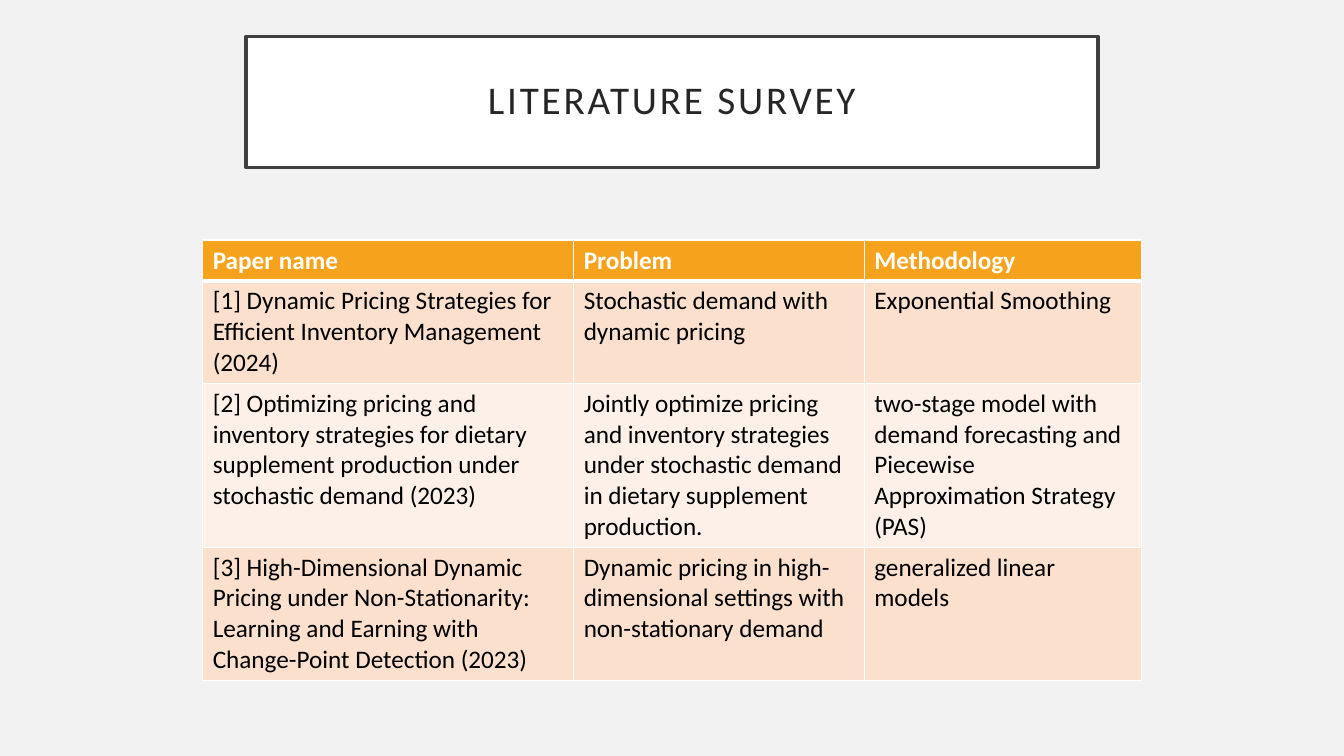
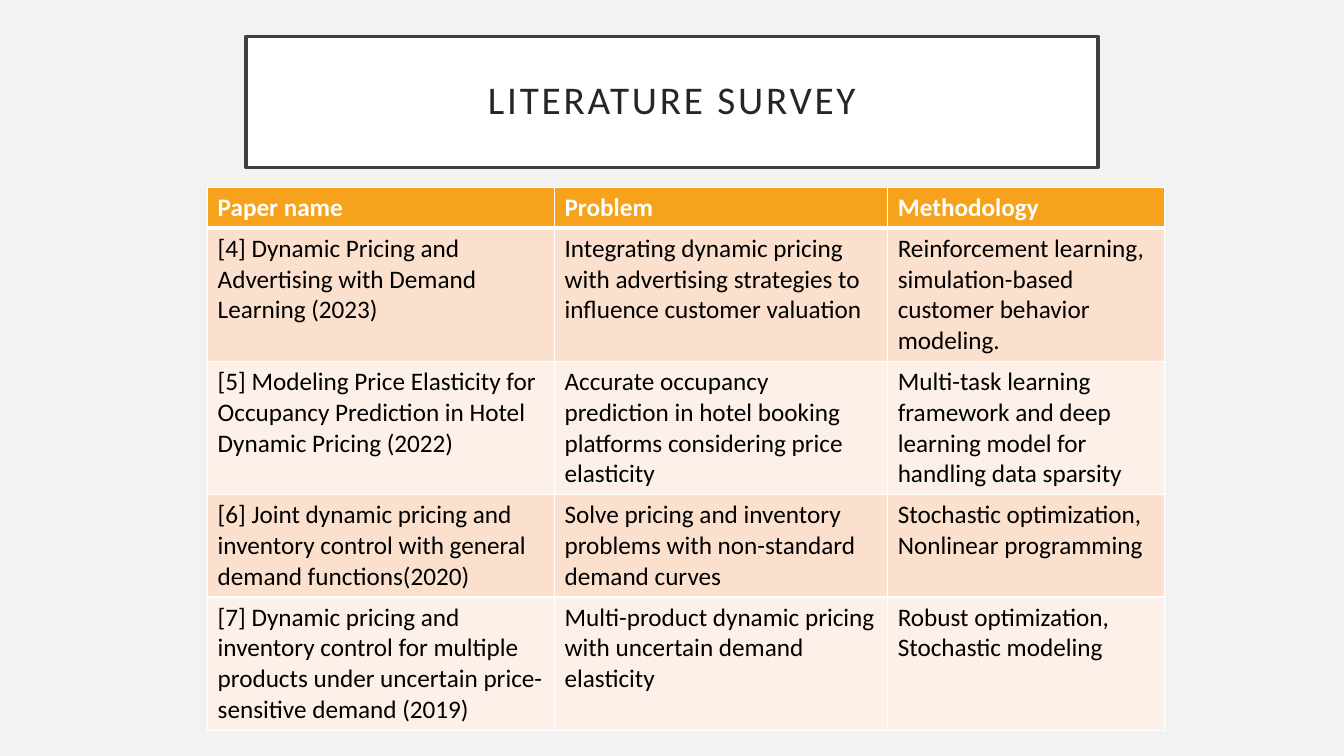
from lxml.etree import SubElement
from pptx import Presentation
from pptx.dml.color import RGBColor
from pptx.enum.shapes import MSO_SHAPE as Preset
from pptx.enum.text import MSO_ANCHOR as Anchor, PP_ALIGN as Align
from pptx.oxml.ns import qn
from pptx.util import Pt


def paint(color_format, hex_color):
    color_format.rgb = RGBColor.from_string(hex_color)


class SurveyDeck:
    """Holds the shared style and the current slide of the literature survey."""

    FONT = "Calibri"
    BACKGROUND, WHITE, BLACK = "F2F2F2", "FFFFFF", "000000"
    FRAME, HEADING = "404040", "262626"
    HEADER, BANDS = "F6A21D", ("FBE0CD", "FDF0E8")
    COLUMN_NAMES = ("Paper name", "Problem", "Methodology")
    ROW_HEIGHT = 29.2

    def __init__(self):
        self.deck = Presentation()
        self.deck.slide_width, self.deck.slide_height = Pt(960), Pt(540)
        self.slide = None

    def fill(self, target, color):
        target.fill.solid()
        paint(target.fill.fore_color, color)

    def style(self, paragraph, size, color, bold=False):
        font = paragraph.font
        font.name, font.size, font.bold = self.FONT, Pt(size), bold
        paint(font.color, color)

    def add_slide(self, heading):
        self.slide = self.deck.slides.add_slide(self.deck.slide_layouts[6])
        self.fill(self.slide.background, self.BACKGROUND)
        self.add_title(heading)

    def add_title(self, heading):
        banner = self.slide.shapes.add_shape(
            Preset.RECTANGLE, Pt(175.7), Pt(26), Pt(608.6), Pt(93.6))
        banner.shadow.inherit = False
        self.fill(banner, self.WHITE)
        paint(banner.line.color, self.FRAME)
        banner.line.width = Pt(2.5)
        frame = banner.text_frame
        frame.word_wrap = True
        frame.vertical_anchor = Anchor.MIDDLE
        frame.margin_left = frame.margin_right = Pt(14.4)
        frame.margin_top = frame.margin_bottom = Pt(14.4)
        title = frame.paragraphs[0]
        title.text = heading
        title.alignment = Align.CENTER
        title.line_spacing = 0.9
        self.style(title, 28, self.HEADING)
        title.runs[0].font._element.set("spc", "200")

    def add_borders(self, cell, top, bottom):
        properties = cell._tc.get_or_add_tcPr()
        for side, width in (("L", 1), ("R", 1), ("T", top), ("B", bottom)):
            edge = SubElement(properties, qn(f"a:ln{side}"), w=str(Pt(width)))
            solid = SubElement(edge, qn("a:solidFill"))
            SubElement(solid, qn("a:srgbClr"), val=self.WHITE)

    def add_survey(self, left, top, widths, papers):
        rows = [self.COLUMN_NAMES, *papers]
        survey = self.slide.shapes.add_table(
            len(rows), len(widths), Pt(left), Pt(top),
            Pt(sum(widths)), Pt(self.ROW_HEIGHT * len(rows))).table
        for column, width in zip(survey.columns, widths):
            column.width = Pt(width)
        for r, texts in enumerate(rows):
            survey.rows[r].height = Pt(self.ROW_HEIGHT)
            is_header = r == 0
            for c, text in enumerate(texts):
                cell = survey.cell(r, c)
                self.add_borders(cell, 3 if r == 1 else 1, 3 if is_header else 1)
                self.fill(cell, self.HEADER if is_header else self.BANDS[(r - 1) % 2])
                cell.text = text
                self.style(cell.text_frame.paragraphs[0], 18,
                           self.WHITE if is_header else self.BLACK, is_header)

    def save(self):
        self.deck.save("out.pptx")


RECENT_PAPERS = [
    ("[1] Dynamic Pricing Strategies for Efficient Inventory Management (2024)",
     "Stochastic demand with dynamic pricing",
     "Exponential Smoothing"),
    ("[2] Optimizing pricing and inventory strategies for dietary supplement "
     "production under stochastic demand (2023)",
     "Jointly optimize pricing and inventory strategies under stochastic demand "
     "in dietary supplement production.",
     "two-stage model with demand forecasting and Piecewise Approximation Strategy (PAS)"),
    ("[3] High-Dimensional Dynamic Pricing under Non-Stationarity: "
     "Learning and Earning with Change-Point Detection (2023)",
     "Dynamic pricing in high-dimensional settings with non-stationary demand",
     "generalized linear models"),
]
EARLIER_PAPERS = [
    ("[4] Dynamic Pricing and Advertising with Demand Learning (2023)",
     "Integrating dynamic pricing with advertising strategies to influence customer valuation",
     "Reinforcement learning, simulation-based customer behavior modeling."),
    ("[5] Modeling Price Elasticity for Occupancy Prediction in Hotel Dynamic Pricing (2022)",
     "Accurate occupancy prediction in hotel booking platforms considering price elasticity",
     "Multi-task learning framework and deep learning model for handling data sparsity"),
    ("[6] Joint dynamic pricing and inventory control with general demand functions(2020)",
     "Solve pricing and inventory problems with non-standard demand curves",
     "Stochastic optimization, Nonlinear programming"),
    ("[7] Dynamic pricing and inventory control for multiple products under uncertain "
     "price-sensitive demand (2019)",
     "Multi-product dynamic pricing with uncertain demand elasticity",
     "Robust optimization, Stochastic modeling"),
]


def main():
    deck = SurveyDeck()
    for left, top, widths, papers in (
        (144.8, 171.4, (265, 207.6, 198), RECENT_PAPERS),
        (148.3, 133.9, (247.8, 238, 198), EARLIER_PAPERS),
    ):
        deck.add_slide("LITERATURE SURVEY")
        deck.add_survey(left, top, widths, papers)
    deck.save()


if __name__ == "__main__":
    main()
